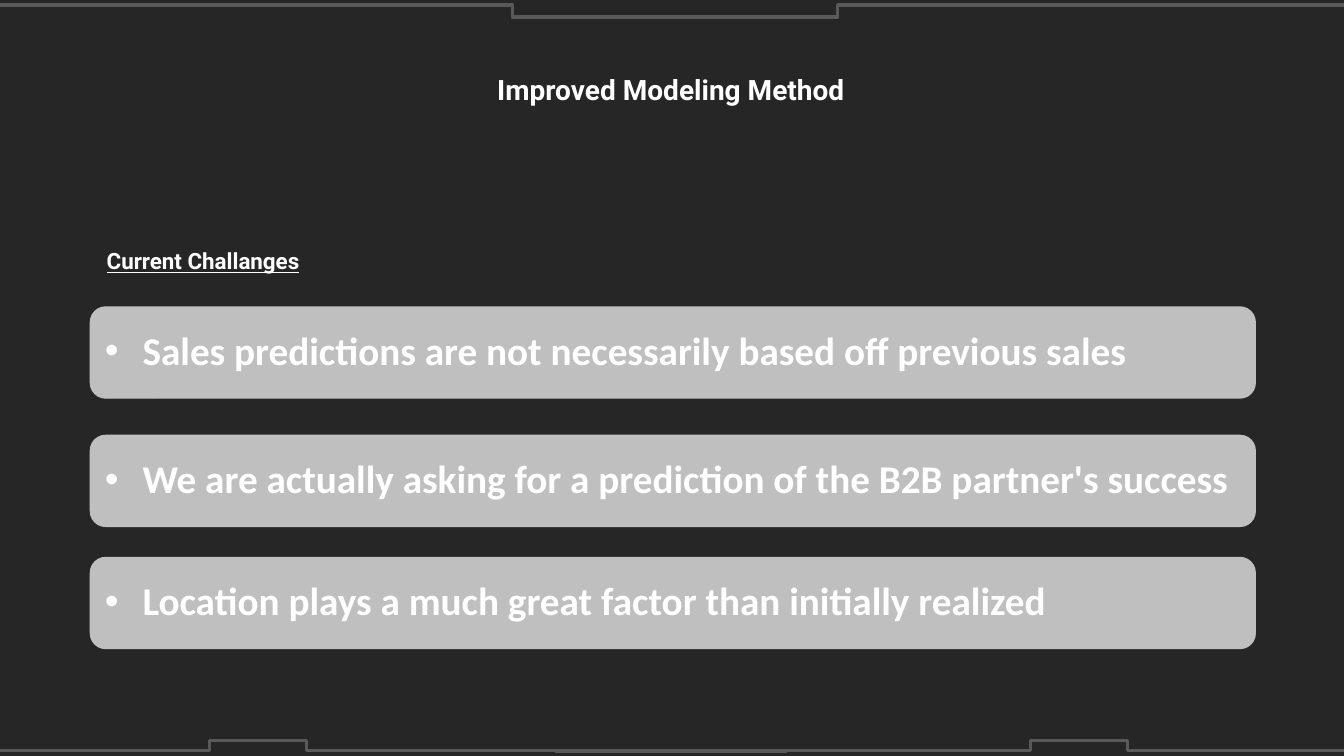
from lxml import etree
from pptx import Presentation
from pptx.dml.color import RGBColor
from pptx.enum import shapes, text
from pptx.oxml import ns
from pptx.util import Pt

WHITE, GREY, FRAME, DARK = "FFFFFF", "BFBFBF", "595959", "262626"


def color(fmt, value):
    """Make a fill solid, if it is one, and give it a hex colour."""
    if hasattr(fmt, "solid"):
        fmt.solid()
        fmt = fmt.fore_color
    fmt.rgb = RGBColor.from_string(value)


def write(sp, words, font, size, align):
    tf = sp.text_frame
    tf.text = words
    tf.word_wrap = True
    tf.vertical_anchor = text.MSO_ANCHOR.MIDDLE
    p = tf.paragraphs[0]
    p.alignment = align
    p.line_spacing = 0.9
    r = p.runs[0]
    r.font.name, r.font.size, r.font.bold = font, Pt(size), True
    color(r.font.color, WHITE)
    return p


prs = Presentation()
prs.slide_width, prs.slide_height = Pt(960), Pt(540)
s = prs.slides.add_slide(prs.slide_layouts[6])
color(s.background.fill, DARK)

# Frame lines: start x, start y, end x, end y, x of the step
TOP, NOTCH, BOTTOM, TAB = 3.6, 12.2, 536.4, 529.2
frame_lines = [
    (0, TOP, 534.2, NOTCH, 366),
    (960, TOP, 396.7, NOTCH, 598.3),
    (0, BOTTOM, 219, TAB, 149.5),
    (183, TAB, 398, BOTTOM, 219),
    (562.3, BOTTOM, 801.4, TAB, 735.8),
    (801.4, TAB, 960, BOTTOM, 805.3),
    (396.7, BOTTOM, 562.3, BOTTOM, None),
]
for x1, y1, x2, y2, step in frame_lines:
    kind = shapes.MSO_CONNECTOR.ELBOW if step else shapes.MSO_CONNECTOR.STRAIGHT
    line = s.shapes.add_connector(kind, Pt(x1), Pt(y1), Pt(x2), Pt(y2))
    line.line.width = Pt(2.25)
    color(line.line.fill, FRAME)
    sp_pr = line._element.spPr
    etree.SubElement(sp_pr, ns.qn("a:effectLst"))
    if step:
        share = round((step - x1) / (x2 - x1) * 100000)
        guides = sp_pr.find(ns.qn("a:prstGeom")).get_or_add_avLst()
        etree.SubElement(guides, ns.qn("a:gd"), name="adj1", fmla=f"val {share}")

title = s.shapes.add_textbox(Pt(128.2), Pt(35.3), Pt(702), Pt(59.8))
write(title, "Improved Modeling Method", "Roboto", 20, text.PP_ALIGN.CENTER)

heading = s.shapes.add_textbox(Pt(31), Pt(157.7), Pt(228.2), Pt(59.8))
p = write(heading, "Current Challanges", "Roboto", 16, text.PP_ALIGN.CENTER)
p.runs[0].font.underline = True

challenges = [
    (219.3, "Sales predictions are not necessarily based off previous sales"),
    (311, "We are actually asking for a prediction of the B2B partner's success"),
    (398.2, "Location plays a much great factor than initially realized"),
]
for top, words in challenges:
    bar = s.shapes.add_shape(shapes.MSO_SHAPE.ROUNDED_RECTANGLE,
                             Pt(64.6), Pt(top), Pt(832), Pt(65))
    bar.shadow.inherit = False
    color(bar.fill, GREY)
    color(bar.line.fill, GREY)
    bar.line.width = Pt(1)
    p = write(bar, words, "Calibri", 28, text.PP_ALIGN.LEFT)
    p.space_before = Pt(10)
    p_pr = p._p.get_or_add_pPr()
    p_pr.set("marL", str(Pt(27)))
    p_pr.set("indent", str(-Pt(27)))
    etree.SubElement(p_pr, ns.qn("a:buFont"), typeface="Arial")
    etree.SubElement(p_pr, ns.qn("a:buChar"), char="•")

prs.save("out.pptx")
